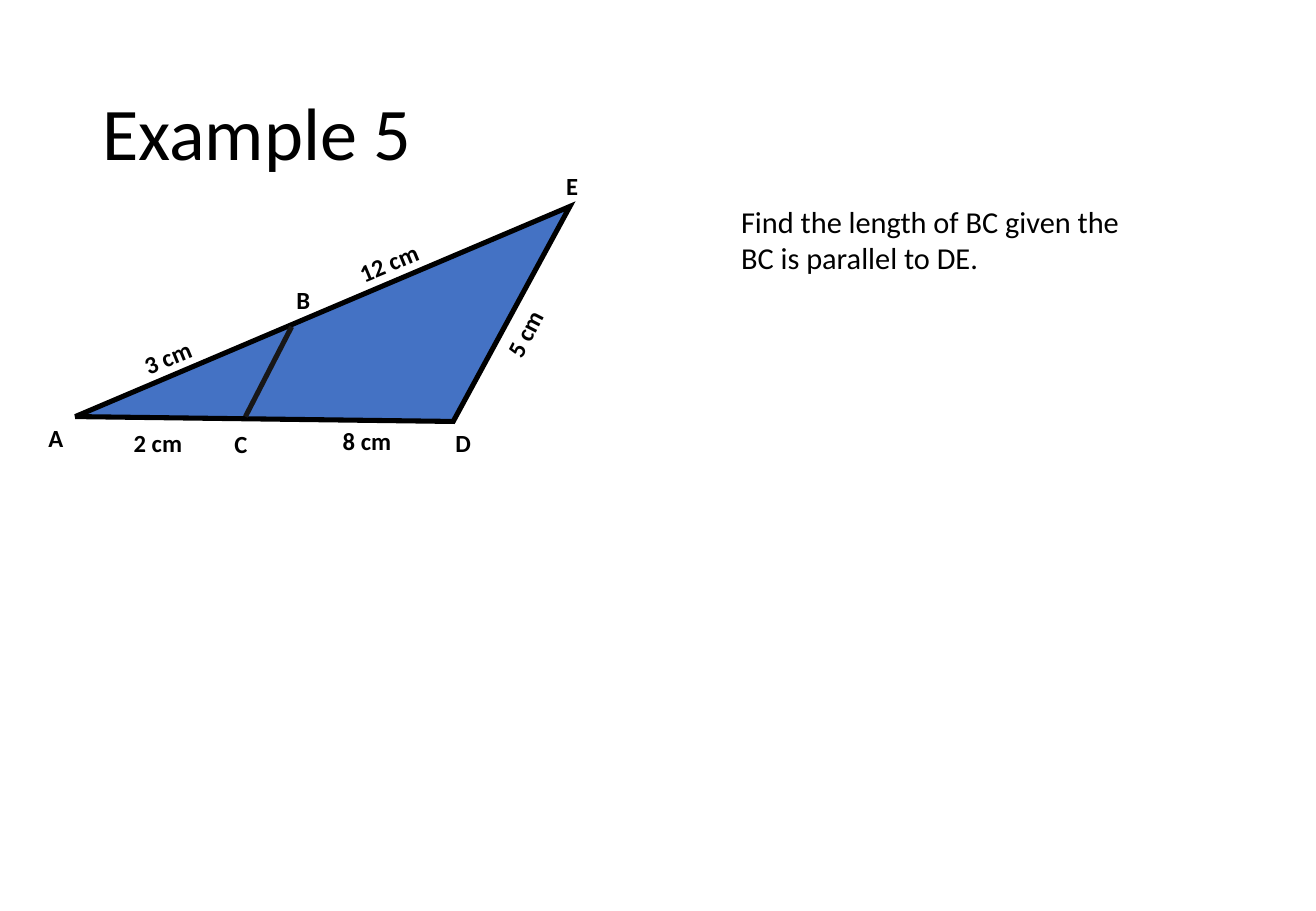
from dataclasses import dataclass

from lxml.etree import SubElement
from pptx import Presentation
from pptx.dml.color import RGBColor
from pptx.enum.shapes import MSO_CONNECTOR as Conn
from pptx.enum.text import MSO_ANCHOR as Anchor, PP_ALIGN as Align
from pptx.oxml.ns import qn
from pptx.util import Inches, Pt

BLACK, BLUE, DARK = "000000", "4472C4", "181717"
LABEL_H = 0.35

Point = tuple[float, float]


@dataclass
class Label:
    text: str
    cx: float
    top: float
    width: float = 0.28
    rotation: float = 0


# Triangle ADE, with BC parallel to DE
A, D, E = (0.62, 3.43), (3.73, 3.47), (4.69, 1.7)
B, C = (2.4, 2.69), (2.02, 3.43)

LABELS = [
    Label("A", 0.44, 3.43),
    Label("B", 2.48, 2.3),
    Label("C", 1.97, 3.48),
    Label("D", 3.79, 3.47),
    Label("E", 4.7, 1.36),
    Label("2 cm", 1.3, 3.47, 0.79),
    Label("8 cm", 3.02, 3.46, 0.79),
    Label("12 cm", 3.2, 1.99, 0.79, 337.5),
    Label("3 cm", 1.38, 2.77, 0.79, 337.5),
    Label("5 cm", 4.32, 2.57, 0.87, 297.5),
]


def rgb(color: str) -> RGBColor:
    return RGBColor.from_string(color)


def write(shape, text: str, align: Align, size: float, bold: bool = False):
    """Put one formatted paragraph in the shape and return it."""
    p = shape.text_frame.paragraphs[0]
    p.alignment = align
    r = p.add_run()
    r.text = text
    for name, value in {"name": "Calibri", "size": Pt(size), "bold": bold}.items():
        setattr(r.font, name, value)
    r.font.color.rgb = rgb(BLACK)
    return p


def set_line(shape, color: str) -> None:
    shape.line.color.rgb = rgb(color)
    shape.line.width = Pt(3)
    SubElement(shape.line._get_or_add_ln(), qn("a:miter"), lim="800000")


def add_triangle(s, points: list[Point], fill: str, line: str) -> None:
    start, *rest = [(Inches(x), Inches(y)) for x, y in points]
    builder = s.shapes.build_freeform(*start)
    builder.add_line_segments(rest, close=True)
    sp = builder.convert_to_shape()
    sp.shadow.inherit = False
    sp.fill.solid()
    sp.fill.fore_color.rgb = rgb(fill)
    set_line(sp, line)


def add_segment(s, start: Point, end: Point, color: str) -> None:
    ends = [Inches(v) for v in (*start, *end)]
    line = s.shapes.add_connector(Conn.STRAIGHT, *ends)
    set_line(line, color)
    SubElement(line._element.spPr, qn("a:effectLst"))


def add_label(s, label: Label) -> None:
    box = (label.cx - label.width / 2, label.top, label.width, LABEL_H)
    sp = s.shapes.add_textbox(*[Inches(v) for v in box])
    sp.rotation = label.rotation
    sp.text_frame.word_wrap = False
    write(sp, label.text, Align.CENTER, 14.6, bold=True)


def main() -> None:
    prs = Presentation()
    prs.slide_width, prs.slide_height = Inches(10.83), Inches(7.5)
    s = prs.slides.add_slide(prs.slide_layouts[5])

    # Title
    title = s.shapes.title
    place = {"left": 0.74, "top": 0.4, "width": 9.34, "height": 1.45}
    for name, value in place.items():
        setattr(title, name, Inches(value))
    title.text_frame.vertical_anchor = Anchor.MIDDLE
    write(title, "Example 5", Align.LEFT, 44).line_spacing = 0.9

    # Figure
    add_triangle(s, [E, D, A], BLUE, BLACK)
    add_segment(s, B, C, DARK)
    for label in LABELS:
        add_label(s, label)

    # Question
    question = s.shapes.add_textbox(*[Inches(v) for v in (6, 1.62, 3.32, 0.71)])
    question.text_frame.word_wrap = True
    write(question, "Find the length of BC given the BC is parallel to DE.", Align.LEFT, 18)

    prs.save("out.pptx")


if __name__ == "__main__":
    main()
